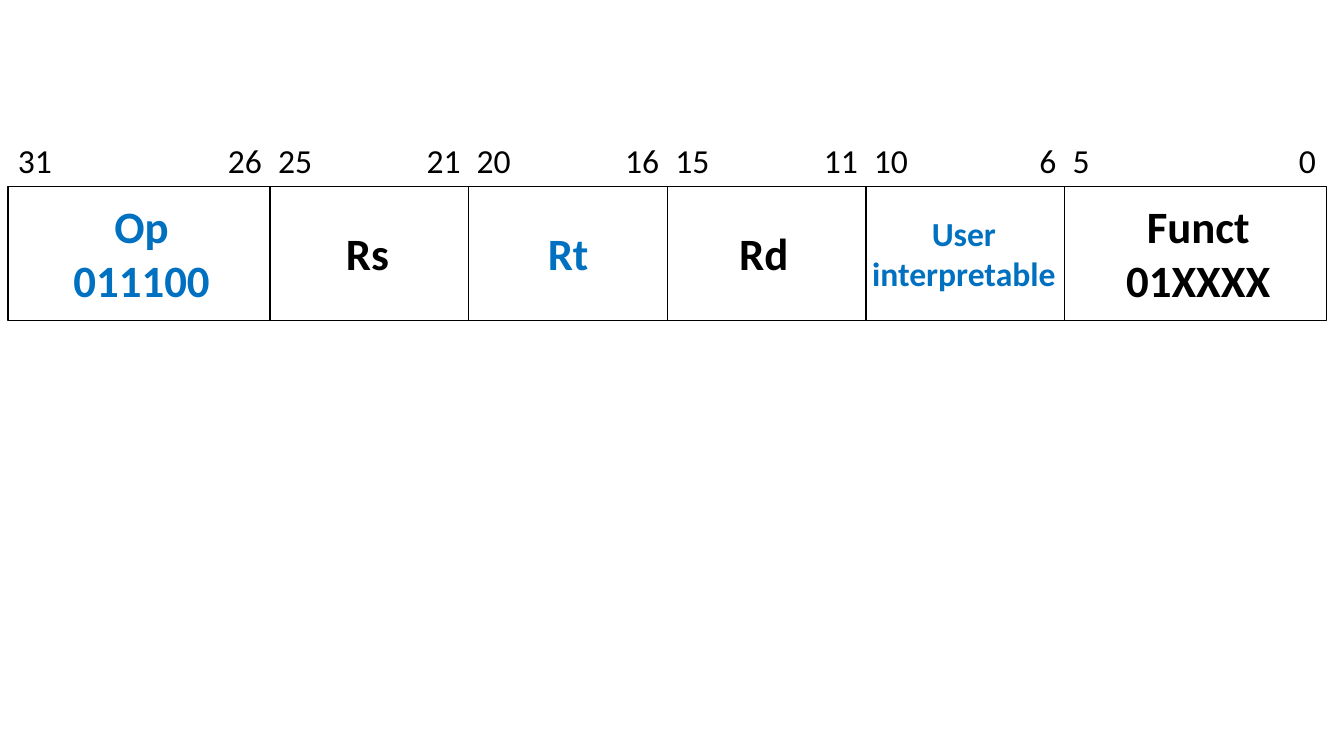
import pptx
import pptx.util
import pptx.dml.color
import pptx.enum.shapes
import pptx.enum.text
import pptx.oxml.ns
from lxml import etree

Inches, Pt = pptx.util.Inches, pptx.util.Pt
BLACK, BLUE = "000000", "0070C0"
FIELD_TOP, FIELD_HEIGHT = 1.85, 1.33
ROW_LEFT, ROW_WIDTH = 0.08, 13.07
FIELD_WIDTHS = {6: 2.6, 5: 1.97}  # inches by number of bits
TEXT_INSET, BIT_GAP = 0.1, 0.08

# high bit, low bit, label lines, size, colour, label left, label width
FIELDS = [
    (31, 26, ["Op", "011100"], 32, BLUE, 0.62, 1.57),
    (25, 21, ["Rs"], 32, BLACK, 3.33, 0.63),
    (20, 16, ["Rt"], 32, BLUE, 5.33, 0.61),
    (15, 11, ["Rd"], 32, BLACK, 7.23, 0.69),
    (10, 6, ["User", "interpretable"], 24, BLUE, 8.54, 2.04),
    (5, 0, ["Funct", "01XXXX"], 32, BLACK, 11.06, 1.65),
]
LABEL_HEIGHTS = {(32, 1): 0.64, (32, 2): 1.18, (24, 2): 0.91}


def rgb(value):
    return pptx.dml.color.RGBColor.from_string(value)


def add_text(slide, box, lines, wrap, align, font_format, color):
    frame = slide.shapes.add_textbox(*map(Inches, box)).text_frame
    frame.word_wrap = wrap
    frame.auto_size = pptx.enum.text.MSO_AUTO_SIZE.SHAPE_TO_FIT_TEXT
    frame.text = "\n".join(lines)
    for paragraph in frame.paragraphs:
        paragraph.alignment = align
        font = paragraph.runs[0].font
        for name, value in font_format.items():
            setattr(font, name, value)
        font.color.rgb = rgb(color)
    return frame


presentation = pptx.Presentation()
presentation.slide_width = Inches(13.33)
presentation.slide_height = Inches(7.5)
slide = presentation.slides.add_slide(presentation.slide_layouts[6])

# Field frames, with a tab stop for each bit number
tab_stops = []
left = ROW_LEFT
for high, low, *_ in FIELDS:
    width = FIELD_WIDTHS[high - low + 1]
    field = slide.shapes.add_shape(
        pptx.enum.shapes.MSO_SHAPE.RECTANGLE,
        *map(Inches, (left, FIELD_TOP, width, FIELD_HEIGHT)))
    field.shadow.inherit = False
    field.fill.background()
    field.line.color.rgb = rgb(BLACK)
    field.line.width = Pt(1)
    text_start = left - ROW_LEFT - TEXT_INSET
    if text_start > 0:
        tab_stops.append((text_start + BIT_GAP, "l"))
    tab_stops.append((text_start + width - BIT_GAP, "r"))
    left += width

# Field labels
for high, low, lines, size, color, label_left, label_width in FIELDS:
    label_height = LABEL_HEIGHTS[size, len(lines)]
    label_top = FIELD_TOP + (FIELD_HEIGHT - label_height) / 2
    add_text(slide, (label_left, label_top, label_width, label_height), lines,
             False, pptx.enum.text.PP_ALIGN.CENTER,
             {"name": "Calibri", "size": Pt(size), "bold": True}, color)

# Bit numbers above the fields
bit_numbers = "\t".join(f"{high}\t{low}" for high, low, *_ in FIELDS)
bit_row = add_text(slide, (ROW_LEFT, 1.34, ROW_WIDTH, 0.5), [bit_numbers],
                   True, pptx.enum.text.PP_ALIGN.LEFT,
                   {"name": "Calibri", "size": Pt(24)}, BLACK)
qn = pptx.oxml.ns.qn
properties = bit_row.paragraphs[0]._p.get_or_add_pPr()
tab_list = etree.SubElement(properties, qn("a:tabLst"))
for position, side in tab_stops:
    etree.SubElement(tab_list, qn("a:tab"), pos=str(Inches(position)), algn=side)

presentation.save("out.pptx")
